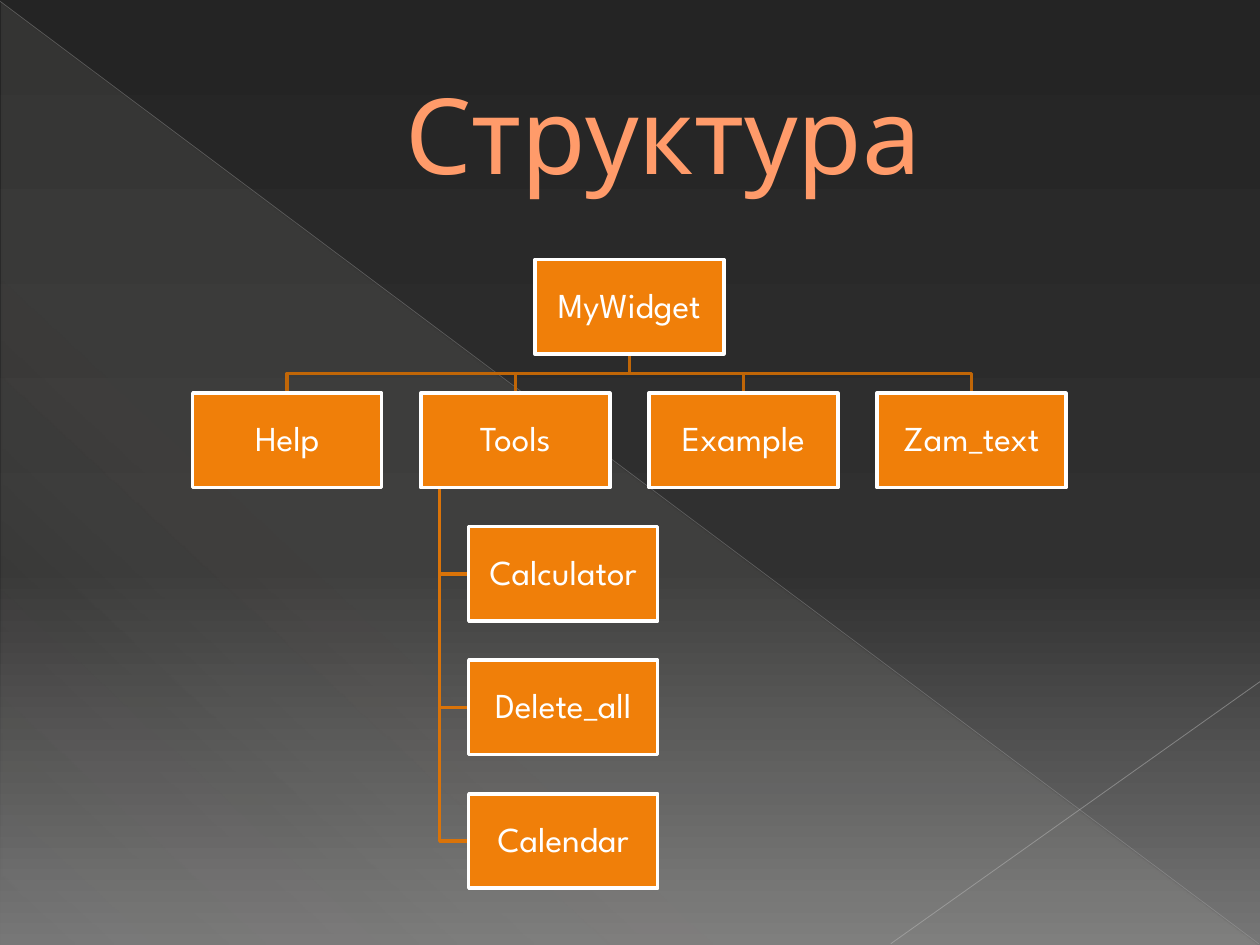
from dataclasses import dataclass
from lxml import etree
from pptx import Presentation
from pptx.dml.color import RGBColor
from pptx.enum.shapes import MSO_CONNECTOR, MSO_SHAPE
from pptx.enum.text import MSO_ANCHOR, PP_ALIGN
from pptx.oxml.ns import qn
from pptx.util import Inches, Pt

STRAIGHT = MSO_CONNECTOR.STRAIGHT
RECT, TRIANGLE = MSO_SHAPE.RECTANGLE, MSO_SHAPE.RIGHT_TRIANGLE
MIDDLE, CENTER = MSO_ANCHOR.MIDDLE, PP_ALIGN.CENTER


@dataclass(frozen=True)
class Theme:
    font: str = "League Spartan"
    title_size: float = 60
    node_size: float = 20
    line_width: float = 2
    title: str = "FF9B6A"
    title_edge: str = "A65806"
    node: str = "F07F09"
    white: str = "FFFFFF"
    branch: str = "C06607"
    twig: str = "DA7308"
    rising: str = "BFBFBF"
    falling: str = "B6B6B6"
    backdrop: tuple = ((0, "242424", 100), (60, "303030", 100), (100, "767676", 100))
    sheen: tuple = ((0, "E3DED1", 10), (70, "E3DED1", 8), (100, "E3DED1", 1))


@dataclass(frozen=True)
class Grid:
    left: float = 1.53
    top: float = 2.06
    col: float = 1.81
    row: float = 1.06
    width: float = 1.5
    height: float = 0.75

    def corner(self, col, row):
        return self.left + col * self.col, self.top + row * self.row


def rgb(value):
    return RGBColor.from_string(value)


def add_color(parent, color, opacity):
    clr = etree.SubElement(parent, qn("a:srgbClr"), val=color)
    if opacity < 100:
        etree.SubElement(clr, qn("a:alpha"), val=str(opacity * 1000))


def set_gradient(props, stops, angle):
    grad = etree.Element(qn("a:gradFill"), rotWithShape="1")
    stop_list = etree.SubElement(grad, qn("a:gsLst"))
    for pos, color, opacity in stops:
        stop = etree.SubElement(stop_list, qn("a:gs"), pos=str(pos * 1000))
        add_color(stop, color, opacity)
    etree.SubElement(grad, qn("a:lin"), ang=str(angle * 60000), scaled="0")
    props.replace(props.find(qn("a:solidFill")), grad)


class Deck:
    def __init__(self, theme, grid):
        self.theme, self.grid = theme, grid
        self.prs = Presentation()
        self.prs.slide_width, self.prs.slide_height = Inches(10), Inches(7.5)
        self.s = self.prs.slides.add_slide(self.prs.slide_layouts[6])

    def background(self):
        self.s.background.fill.solid()
        props = self.s.element.cSld.find(qn("p:bg")).find(qn("p:bgPr"))
        set_gradient(props, self.theme.backdrop, 90)

    def sheen(self, *box):
        sp = self.s.shapes.add_shape(TRIANGLE, *map(Inches, box))
        sp.shadow.inherit = False
        sp.line.fill.background()
        sp.fill.solid()
        set_gradient(sp.element.spPr, self.theme.sheen, 133)

    def hairline(self, ends, color, width, opacity):
        line = self.s.shapes.add_connector(STRAIGHT, *map(Inches, ends))
        line.line.width = Pt(width)
        line.line.color.rgb = rgb(color)
        clr = next(line.element.spPr.iter(qn("a:srgbClr")))
        etree.SubElement(clr, qn("a:alpha"), val=str(opacity * 1000))
        etree.SubElement(line.element.spPr, qn("a:effectLst"))

    def label(self, sp, text, size, color):
        tf = sp.text_frame
        tf.word_wrap = True
        tf.vertical_anchor = MIDDLE
        p = tf.paragraphs[0]
        p.alignment = CENTER
        p.font.name, p.font.size = self.theme.font, Pt(size)
        p.font.color.rgb = rgb(color)
        r = p.add_run()
        r.text = text
        return p, r

    def title(self, text, *box):
        sp = self.s.shapes.add_textbox(*map(Inches, box))
        p, r = self.label(sp, text, self.theme.title_size, self.theme.title)
        p._p.get_or_add_pPr().set("marL", str(Inches(0.53)))
        edge = etree.Element(qn("a:ln"), w=str(Pt(0.5)))
        add_color(etree.SubElement(edge, qn("a:solidFill")), self.theme.title_edge, 100)
        r._r.get_or_add_rPr().insert(0, edge)

    def node(self, text, col, row):
        g, t = self.grid, self.theme
        box = (*g.corner(col, row), g.width, g.height)
        sp = self.s.shapes.add_shape(RECT, *map(Inches, box))
        sp.shadow.inherit = False
        sp.fill.solid()
        sp.fill.fore_color.rgb = rgb(t.node)
        sp.line.color.rgb = rgb(t.white)
        sp.line.width = Pt(t.line_width)
        tf = sp.text_frame
        tf.margin_left = tf.margin_right = Inches(0.01)
        tf.margin_top = tf.margin_bottom = Inches(0.01)
        p, _ = self.label(sp, text, t.node_size, t.white)
        p.line_spacing = 0.9

    def elbow(self, points, color):
        start, *rest = [(Inches(x), Inches(y)) for x, y in points]
        builder = self.s.shapes.build_freeform(*start)
        builder.add_line_segments(rest, close=False)
        sp = builder.convert_to_shape()
        sp.shadow.inherit = False
        sp.fill.background()
        sp.line.color.rgb = rgb(color)
        sp.line.width = Pt(self.theme.line_width)

    def branch(self, parent, child):
        g = self.grid
        (x1, y1), (x2, y2) = g.corner(*parent), g.corner(*child)
        x1, x2, y1 = x1 + g.width / 2, x2 + g.width / 2, y1 + g.height
        mid = (y1 + y2) / 2
        self.elbow([(x1, y1), (x1, mid), (x2, mid), (x2, y2)], self.theme.branch)

    def twig(self, parent, child):
        g = self.grid
        (x1, y1), (x2, y2) = g.corner(*parent), g.corner(*child)
        x1, y1, y2 = x1 + g.width / 10, y1 + g.height, y2 + g.height / 2
        self.elbow([(x1, y1), (x1, y2), (x2, y2)], self.theme.twig)


ROOT = (1.5, 0)
MENUS = {name: (i, 1) for i, name in enumerate(["Help", "Tools", "Example", "Zam_text"])}
TOOLS = {name: (1.21, i) for i, name in enumerate(["Calculator", "Delete_all", "Calendar"], 2)}

theme = Theme()
deck = Deck(theme, Grid())
deck.background()
deck.sheen(0.01, 0.02, 9.98, 7.48)
deck.hairline((0, 0.01, 9.99, 7.49), theme.falling, 0.39, 35)
deck.hairline((10, 5.41, 7.07, 7.49), theme.rising, 0.47, 45)
deck.title("Структура", 0.5, 0.29, 9, 1.53)
for place in MENUS.values():
    deck.branch(ROOT, place)
for place in TOOLS.values():
    deck.twig(MENUS["Tools"], place)
for name, place in {"MyWidget": ROOT, **MENUS, **TOOLS}.items():
    deck.node(name, *place)
deck.prs.save("out.pptx")
